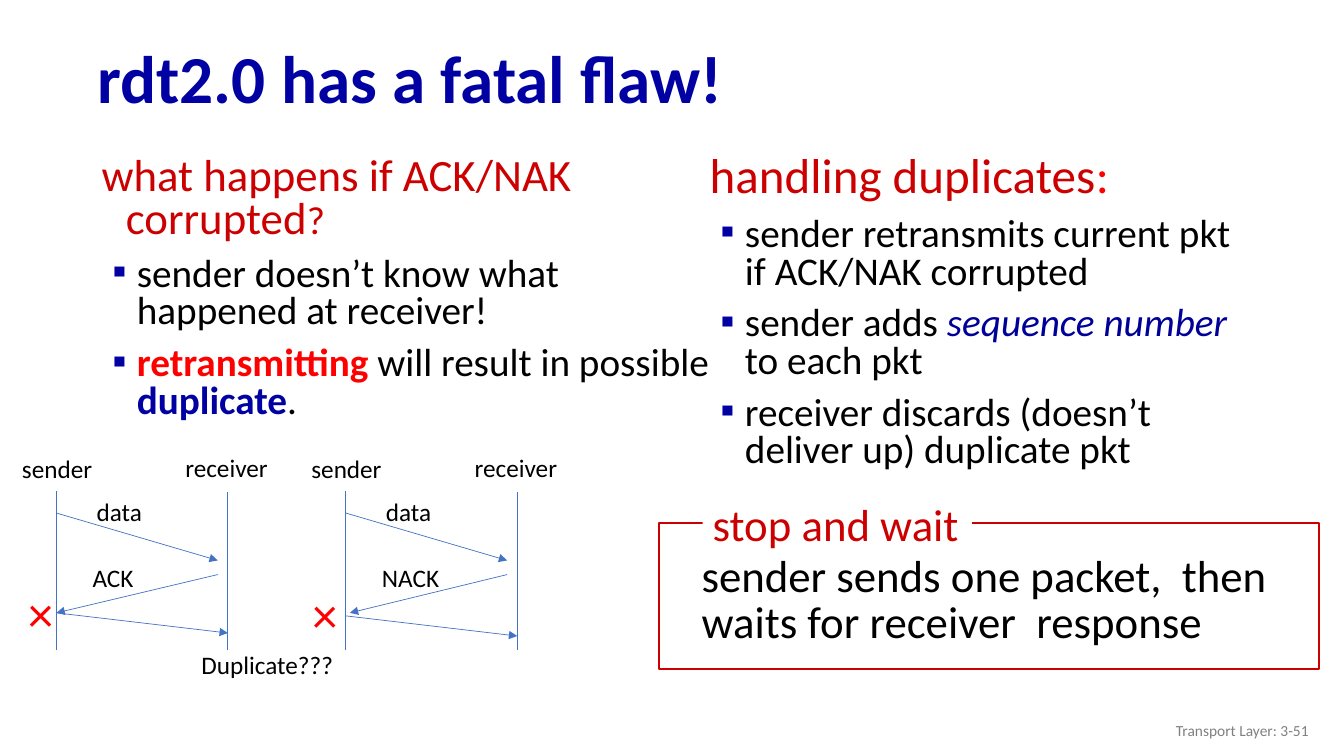
from lxml.etree import SubElement
from pptx import Presentation
from pptx.dml.color import RGBColor
from pptx.enum.shapes import MSO_CONNECTOR, MSO_SHAPE
from pptx.enum.text import MSO_ANCHOR, PP_ALIGN
from pptx.oxml.ns import qn
from pptx.util import Inches, Pt

COLORS = {
    "navy": "0000A3",
    "indigo": "000099",
    "crimson": "CC0000",
    "red": "FF0000",
    "black": "000000",
    "gray": "808080",
    "white": "FFFFFF",
    "blue": "4472C4",
}


class Page:
    font_name = "Calibri"

    def __init__(self, deck):
        self.shapes = deck.slides.add_slide(deck.slide_layouts[6]).shapes

    def color(self, name):
        return RGBColor.from_string(COLORS[name])

    def text(self, left, top, width, height, anchor=MSO_ANCHOR.TOP, wrap=True):
        box = self.shapes.add_textbox(*map(Inches, (left, top, width, height)))
        box.text_frame.word_wrap = wrap
        box.text_frame.vertical_anchor = anchor
        return box.text_frame

    def paragraph(self, frame, spans, size, color="black", bold=None, align=PP_ALIGN.LEFT,
                  spacing=None, before=None, indent=None, bullet=False):
        first = not frame.paragraphs[0].runs
        para = frame.paragraphs[0] if first else frame.add_paragraph()
        para.alignment = align
        para.line_spacing = spacing
        if before and not first:
            para.space_before = Pt(before)
        properties = para._p.get_or_add_pPr()
        if indent:
            properties.set("marL", str(Inches(indent[0])))
            properties.set("indent", str(Inches(indent[1])))
        if bullet:
            tint = SubElement(properties, qn("a:buClr"))
            SubElement(tint, qn("a:srgbClr"), val=COLORS["navy"])
            SubElement(properties, qn("a:buFont"), typeface=self.font_name)
            SubElement(properties, qn("a:buChar"), char="▪")
        para.font.name = self.font_name
        para.font.size = Pt(size)
        para.font.bold = bold
        para.font.color.rgb = self.color(color)
        for words, style in spans:
            span = para.add_run()
            span.text = words
            if "color" in style:
                span.font.color.rgb = self.color(style["color"])
            if "size" in style:
                span.font.size = Pt(style["size"])
            if "bold" in style:
                span.font.bold = style["bold"]
            if "italic" in style:
                span.font.italic = style["italic"]

    def label(self, words, left, top, width, height=0.4, size=18, color="black",
              anchor=MSO_ANCHOR.TOP, wrap=True, **style):
        frame = self.text(left, top, width, height, anchor, wrap)
        self.paragraph(frame, [(words, {})], size, color, **style)

    def column(self, left, top, width, height, heading, heading_size, points):
        frame = self.text(left, top, width, height)
        self.paragraph(frame, heading, heading_size, "crimson", spacing=0.8,
                       indent=(0.39, -0.24))
        for spans in points:
            self.paragraph(frame, spans, 28, spacing=0.8, before=10,
                           indent=(0.5, -0.24), bullet=True)

    def rectangle(self, left, top, width, height, fill=None, line=None):
        box = self.shapes.add_shape(MSO_SHAPE.RECTANGLE,
                                    *map(Inches, (left, top, width, height)))
        box.shadow.inherit = False
        if fill:
            box.fill.solid()
            box.fill.fore_color.rgb = self.color(fill)
        else:
            box.fill.background()
        if line:
            box.line.color.rgb = self.color(line)
            box.line.width = Pt(1.5)
        else:
            box.line.fill.background()
        return box

    def line(self, start, end, arrow=False):
        connector = self.shapes.add_connector(MSO_CONNECTOR.STRAIGHT,
                                              *map(Inches, (*start, *end)))
        connector.line.color.rgb = self.color("blue")
        connector.line.width = Pt(0.5)
        if arrow:
            SubElement(connector.line._get_or_add_ln(), qn("a:tailEnd"), type="triangle")
        SubElement(connector._element.spPr, qn("a:effectLst"))

    def exchange(self, sender, reply, reply_end, resend_top, cross):
        receiver = sender + 1.7
        near_receiver = sender + 1.6
        self.line((sender, 4.87), (sender, 6.45))
        self.line((receiver, 4.88), (receiver, 6.45))
        self.label("sender", sender - 0.44, 4.45, 0.97)
        self.label("receiver", sender + 1.18, 4.44, 1.08)
        self.line((sender, 5.09), (near_receiver, 5.56), arrow=True)
        self.label("data", sender + 0.3, 4.87, 0.97)
        self.line((near_receiver, 5.7), (reply_end, 6.08), arrow=True)
        self.label(reply, sender + 0.26, 5.53, 1.34)
        self.label("×", *cross, 0.6, 0.71, size=36, color="red")
        self.line((sender, resend_top), (receiver, resend_top + 0.2), arrow=True)


def main():
    deck = Presentation()
    deck.slide_width = Inches(13.33)
    deck.slide_height = Inches(7.5)
    page = Page(deck)

    page.label("rdt2.0 has a fatal flaw!", 0.87, 0.32, 12.14, 0.98, size=48, color="navy",
               anchor=MSO_ANCHOR.MIDDLE, bold=True, spacing=0.9)

    page.column(0.76, 1.51, 6.37, 2.85,
                [("what happens if ACK/NAK corrupted", {}), ("?", {"size": 28})], 32, [
                    [("sender doesn’t know what happened at receiver!", {})],
                    [("retransmitting", {"color": "red", "bold": True}),
                     (" will result in possible ", {}),
                     ("duplicate", {"color": "navy", "bold": True}),
                     (".", {})],
                ])
    page.column(6.79, 1.5, 5.79, 3.35,
                [("handling duplicates", {}), (":", {"color": "red"})], 35, [
                    [("sender retransmits current pkt if ACK/NAK corrupted", {})],
                    [("sender adds ", {}),
                     ("sequence number", {"color": "indigo", "italic": True}),
                     (" to each pkt", {})],
                    [("receiver discards (doesn’t deliver up) duplicate pkt", {})],
                ])

    page.rectangle(6.54, 5.19, 6.54, 1.45, line="crimson")
    heading = page.rectangle(6.97, 4.88, 2.67, 0.64, fill="white").text_frame
    heading.word_wrap = False
    heading.vertical_anchor = MSO_ANCHOR.TOP
    page.paragraph(heading, [("stop and wait", {})], 32, "crimson")
    page.label("sender sends one packet,  then waits for receiver  response",
               6.86, 5.47, 6.23, 1.02, size=32, spacing=0.85)

    page.exchange(0.56, "ACK", 0.56, 6.08, (0.18, 5.73))
    page.exchange(3.43, "NACK", 3.47, 6.11, (3.0, 5.74))
    page.label("Duplicate???", 1.63, 6.45, 1.79, 0.35, wrap=False, spacing=0.8,
               indent=(0.27, 0))

    page.label("Transport Layer: 3-51", 10.08, 7.05, 3, size=11, color="gray",
               anchor=MSO_ANCHOR.MIDDLE, align=PP_ALIGN.RIGHT)

    deck.save("out.pptx")


if __name__ == "__main__":
    main()
